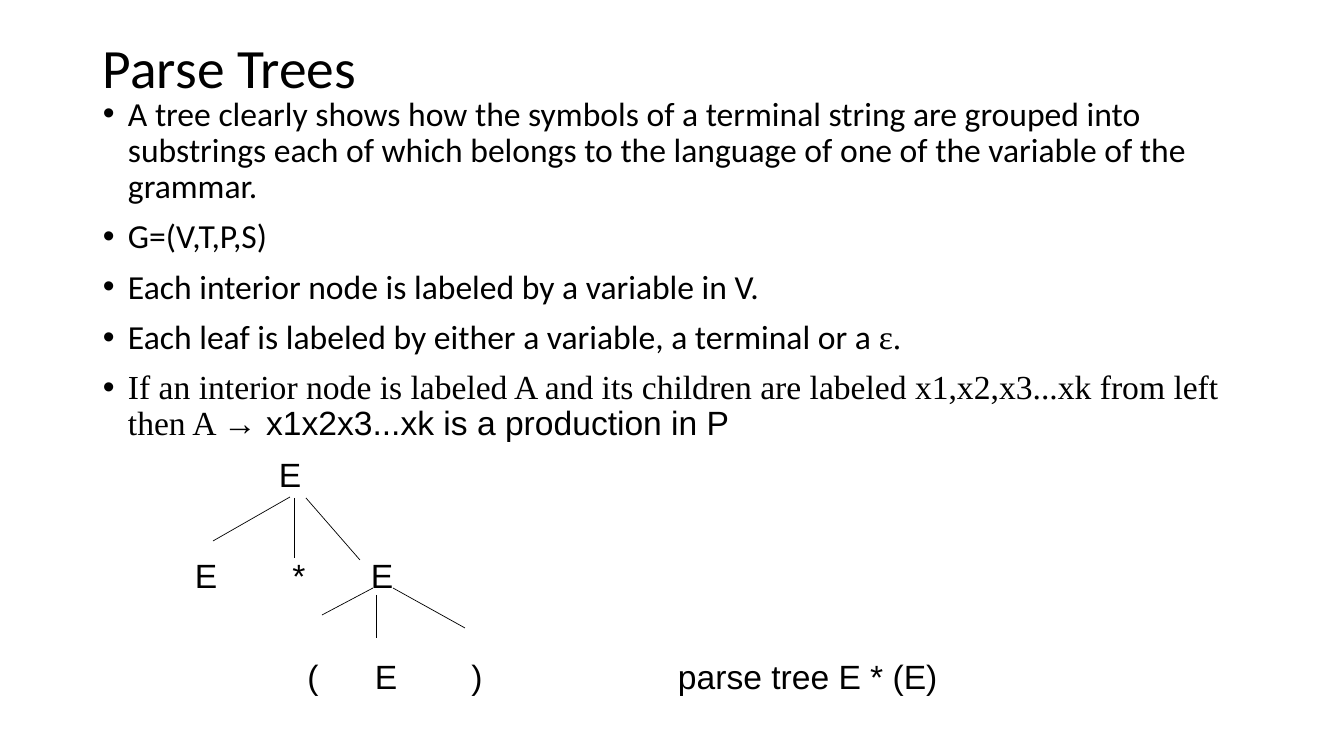
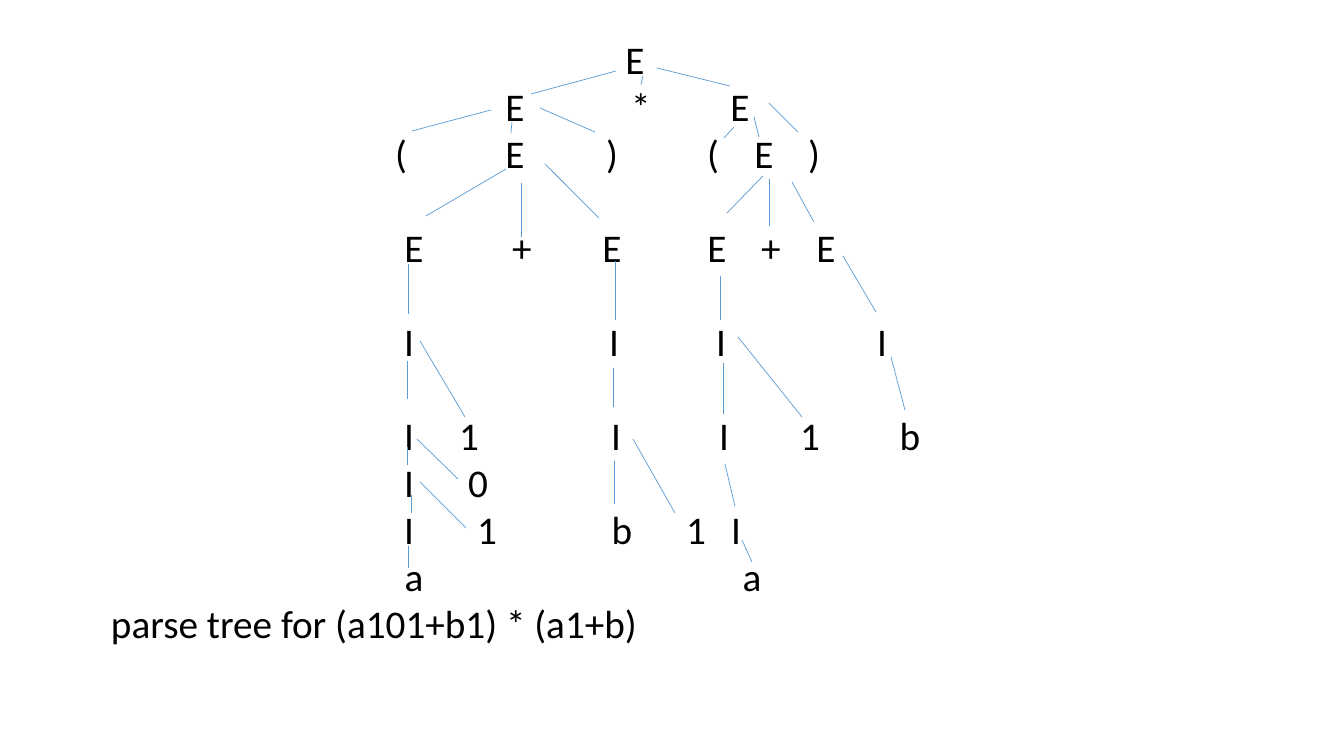
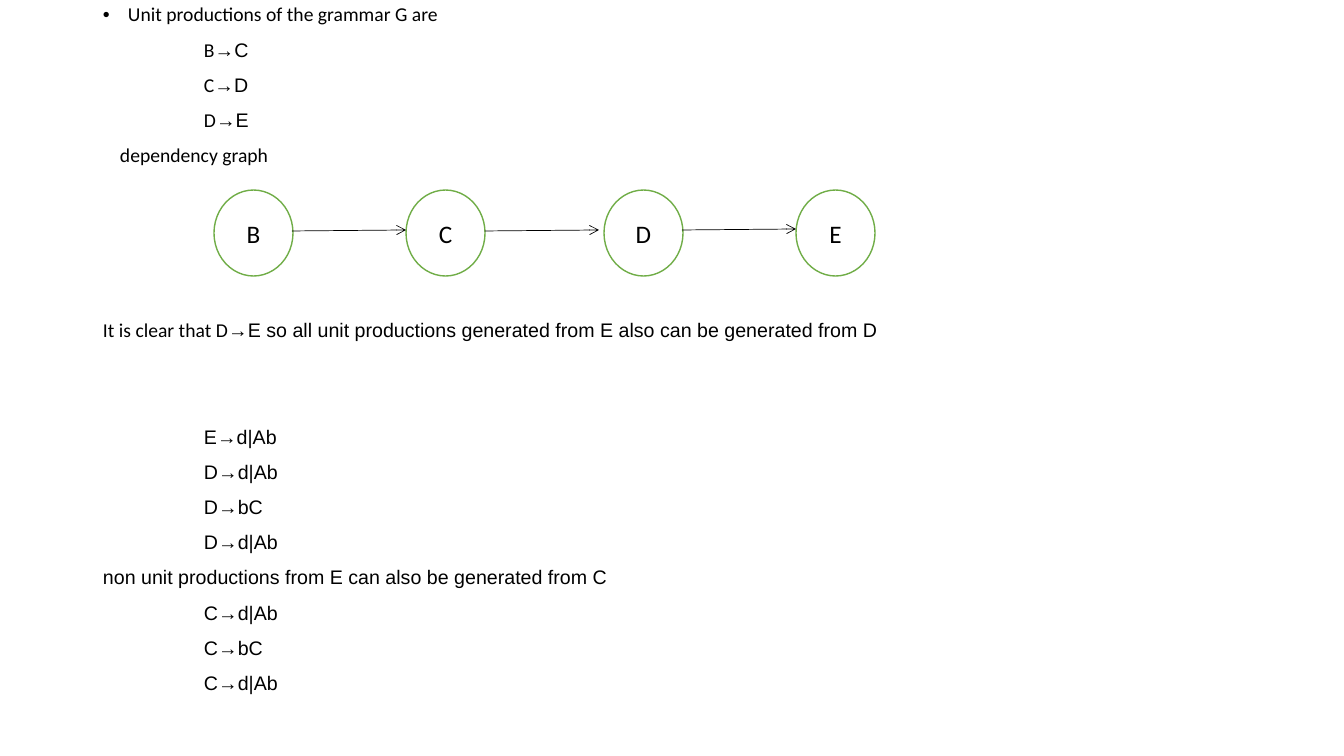
"""Build three slides on parse trees and unit productions."""
from dataclasses import dataclass

from lxml.etree import SubElement
from pptx import Presentation
from pptx.dml.color import RGBColor
from pptx.enum.shapes import MSO_CONNECTOR, MSO_SHAPE
from pptx.enum.text import MSO_ANCHOR, PP_ALIGN
from pptx.oxml.ns import qn
from pptx.shapes.connector import Connector
from pptx.slide import Slide
from pptx.text.text import TextFrame
from pptx.util import Emu, Pt


@dataclass(frozen=True)
class Theme:
    """Colours, fonts and type sizes in points."""
    ink: RGBColor = RGBColor(0, 0, 0)
    paper: RGBColor = RGBColor(255, 255, 255)
    branch: RGBColor = RGBColor(0x5B, 0x9B, 0xD5)
    ring: RGBColor = RGBColor(0x70, 0xAD, 0x47)
    sans: str = "Calibri"
    plain: str = "Arial"
    serif: str = "Times New Roman"
    title_size: float = 39.6
    body_size: float = 24
    tree_size: float = 28
    rule_size: float = 14
    node_size: float = 18
    hairline: float = 0.5
    ring_width: float = 1


@dataclass(frozen=True)
class Span:
    """A stretch of text in one font."""
    text: str
    font: str


@dataclass(frozen=True)
class Line:
    """A paragraph with its indent and the gap above it."""
    spans: tuple[Span, ...]
    indent: int = 0
    gap: int = 14
    bullet: bool = False


@dataclass(frozen=True)
class Label:
    """A tree symbol centred on a point."""
    text: str
    x: int
    y: int


@dataclass(frozen=True)
class Segment:
    """A straight line between two points."""
    x1: int
    y1: int
    x2: int
    y2: int


THEME = Theme()
SLIDE_WIDTH, SLIDE_HEIGHT = 1344, 756
BODY_LEFT, BODY_WIDTH = 93, 1159
INSET_X, INSET_Y = 10, 5
BULLET_INDENT, RULE_INDENT, CAPTION_INDENT = 25, 101, 17
LABEL_WIDTH, LABEL_HEIGHT = 40, 48


def px(length: int) -> Emu:
    """Turn pixels into EMU."""
    return Emu(round(length * 914400 / 100.8))


def add_text_frame(slide: Slide, left: int, top: int, width: int, height: int) -> TextFrame:
    """Add an empty wrapping text box."""
    text_frame = slide.shapes.add_textbox(px(left), px(top), px(width), px(height)).text_frame
    text_frame.word_wrap = True
    text_frame.margin_left = text_frame.margin_right = px(INSET_X)
    text_frame.margin_top = text_frame.margin_bottom = px(INSET_Y)
    return text_frame


def format_text(text_frame: TextFrame, size: float, font: str) -> None:
    """Format every run of a text frame."""
    for paragraph in text_frame.paragraphs:
        for run in paragraph.runs:
            run.font.size = Pt(size)
            run.font.name = font
            run.font.color.rgb = THEME.ink


def add_text(slide: Slide, text: str, left: int, middle: int, width: int, height: int,
             size: float, font: str) -> TextFrame:
    """Add one line of text centred vertically on a height."""
    text_frame = add_text_frame(slide, left, middle - height // 2, width, height)
    text_frame.text = text
    text_frame.vertical_anchor = MSO_ANCHOR.MIDDLE
    format_text(text_frame, size, font)
    return text_frame


def add_body(slide: Slide, top: int, height: int, lines: list[Line], size: float) -> None:
    """Add the body text box with its paragraphs."""
    text_frame = add_text_frame(slide, BODY_LEFT, top, BODY_WIDTH, height)
    for index, line in enumerate(lines):
        paragraph = text_frame.add_paragraph() if index else text_frame.paragraphs[0]
        paragraph.line_spacing = 0.9
        paragraph.space_before = px(line.gap)
        for span in line.spans:
            run = paragraph.add_run()
            run.text = span.text
            run.font.name = span.font
            run.font.size = Pt(size)
            run.font.color.rgb = THEME.ink
        properties = paragraph._p.get_or_add_pPr()
        properties.set("marL", str(px(line.indent)))
        if line.bullet:
            properties.set("indent", str(-px(line.indent)))
            SubElement(properties, qn("a:buFont")).set("typeface", THEME.plain)
            SubElement(properties, qn("a:buChar")).set("char", "•")


def add_labels(slide: Slide, labels: list[Label], size: float, font: str) -> None:
    """Add the symbols of a tree."""
    for label in labels:
        text_frame = add_text(slide, label.text, label.x - LABEL_WIDTH // 2, label.y,
                              LABEL_WIDTH, LABEL_HEIGHT, size, font)
        text_frame.margin_left = text_frame.margin_right = 0
        text_frame.paragraphs[0].alignment = PP_ALIGN.CENTER


def add_segment(slide: Slide, segment: Segment, color: RGBColor) -> Connector:
    """Add a thin straight line."""
    connector = slide.shapes.add_connector(
        MSO_CONNECTOR.STRAIGHT, px(segment.x1), px(segment.y1), px(segment.x2), px(segment.y2))
    connector.line.color.rgb = color
    connector.line.width = Pt(THEME.hairline)
    SubElement(connector._element.spPr, qn("a:effectLst"))
    return connector


def add_arrow(slide: Slide, segment: Segment) -> None:
    """Add a line with an open arrowhead at its end."""
    connector = add_segment(slide, segment, THEME.ink)
    SubElement(connector.line._get_or_add_ln(), qn("a:tailEnd")).set("type", "arrow")


def add_node(slide: Slide, text: str, left: int) -> None:
    """Add a ringed node of the dependency graph."""
    shape = slide.shapes.add_shape(MSO_SHAPE.OVAL, px(left), px(190), px(79), px(86))
    shape.shadow.inherit = False
    shape.fill.solid()
    shape.fill.fore_color.rgb = THEME.paper
    shape.line.color.rgb = THEME.ring
    shape.line.width = Pt(THEME.ring_width)
    shape.text_frame.text = text
    shape.text_frame.vertical_anchor = MSO_ANCHOR.MIDDLE
    shape.text_frame.paragraphs[0].alignment = PP_ALIGN.CENTER
    format_text(shape.text_frame, THEME.node_size, THEME.sans)


def bullet(*spans: Span) -> Line:
    """Describe a bulleted paragraph."""
    return Line(spans, BULLET_INDENT, bullet=True)


def rule(left: str, right: str, font: str = THEME.plain, gap: int = 14) -> Line:
    """Describe an indented production."""
    return Line((Span(left, font), Span(f"→{right}", THEME.plain)), RULE_INDENT, gap)


def build_definition(slide: Slide) -> None:
    """Build the definition of parse trees."""
    add_text(slide, "Parse Trees", BODY_LEFT, 66, BODY_WIDTH, 51, THEME.title_size, THEME.sans)
    add_body(slide, 92, 360, [
        bullet(Span("A tree clearly shows how the symbols of a terminal string are grouped into "
                    "substrings each of which belongs to the language of one of the variable "
                    "of the grammar.", THEME.sans)),
        bullet(Span("G=(V,T,P,S)", THEME.sans)),
        bullet(Span("Each interior node is labeled by a variable in V.", THEME.sans)),
        bullet(Span("Each leaf is labeled by either a variable, a terminal or a ", THEME.sans),
               Span("ε.", THEME.serif)),
        bullet(Span("If an interior node is labeled A and its children are labeled "
                    "x1,x2,x3...xk from left then A ", THEME.serif),
               Span("→ x1x2x3...xk is a production in P", THEME.plain)),
    ], THEME.body_size)
    add_labels(slide, [
        Label("E", 290, 474),
        Label("E", 206, 575), Label("*", 299, 575), Label("E", 382, 575),
        Label("(", 313, 676), Label("E", 386, 676), Label(")", 477, 676),
    ], THEME.body_size, THEME.plain)
    add_text(slide, "parse tree E * (E)", 668, 676, 300, LABEL_HEIGHT,
             THEME.body_size, THEME.plain)
    for segment in (
        Segment(290, 497, 213, 541), Segment(306, 498, 360, 560), Segment(294, 498, 294, 558),
        Segment(373, 588, 322, 615), Segment(376, 595, 376, 638), Segment(393, 588, 465, 628),
    ):
        add_segment(slide, segment, THEME.ink)


def build_large_tree(slide: Slide) -> None:
    """Build the full parse tree."""
    first_row, row_pitch, caption_row = 59, 47, 12
    symbols = {
        0: (("E", 635),),
        1: (("E", 515), ("*", 641), ("E", 740)),
        2: (("(", 401), ("E", 515), (")", 612), ("(", 713), ("E", 764), (")", 814)),
        4: (("E", 414), ("+", 522), ("E", 612), ("E", 717), ("+", 771), ("E", 826)),
        6: (("I", 409), ("I", 614), ("I", 721), ("I", 882)),
        8: (("I", 409), ("1", 469), ("I", 616), ("I", 724), ("1", 810), ("b", 910)),
        9: (("I", 409), ("0", 478)),
        10: (("I", 409), ("1", 487), ("b", 622), ("1", 696), ("I", 736)),
        11: (("a", 414), ("a", 752)),
    }
    add_labels(slide, [Label(text, x, first_row + row * row_pitch)
                       for row, items in symbols.items() for text, x in items],
               THEME.tree_size, THEME.sans)
    add_text(slide, "parse tree for (a101+b1) * (a1+b)", 101, first_row + caption_row * row_pitch,
             700, LABEL_HEIGHT, THEME.tree_size, THEME.sans)
    for segment in (
        Segment(616, 71, 531, 94), Segment(643, 76, 641, 85), Segment(657, 68, 730, 86),
        Segment(491, 110, 412, 131), Segment(512, 122, 511, 133), Segment(540, 108, 595, 132),
        Segment(734, 127, 724, 138), Segment(754, 117, 759, 137), Segment(769, 103, 798, 132),
        Segment(506, 169, 426, 216), Segment(521, 183, 521, 237), Segment(545, 164, 599, 218),
        Segment(763, 176, 727, 213), Segment(769, 179, 769, 226), Segment(792, 182, 814, 222),
        Segment(408, 264, 408, 314), Segment(407, 361, 407, 399), Segment(407, 447, 407, 465),
        Segment(411, 495, 411, 513), Segment(408, 546, 408, 568), Segment(420, 341, 465, 417),
        Segment(417, 439, 458, 479), Segment(420, 482, 466, 528), Segment(615, 261, 615, 320),
        Segment(613, 368, 613, 407), Segment(614, 461, 614, 504), Segment(633, 439, 675, 513),
        Segment(720, 276, 720, 320), Segment(723, 363, 723, 414), Segment(725, 464, 735, 506),
        Segment(742, 540, 752, 562), Segment(738, 337, 802, 417), Segment(843, 256, 876, 312),
        Segment(891, 357, 905, 410),
    ):
        add_segment(slide, segment, THEME.branch)


def build_unit_productions(slide: Slide) -> None:
    """Build the unit productions and their dependency graph."""
    add_body(slide, 0, 741, [
        bullet(Span("Unit productions of the grammar G are", THEME.sans)),
        rule("B", "C", THEME.sans),
        rule("C", "D", THEME.sans),
        rule("D", "E", THEME.sans),
        Line((Span("dependency graph", THEME.sans),), CAPTION_INDENT),
        Line((Span("It is clear that D", THEME.sans),
              Span("→E so all unit productions generated from E also can be generated from D",
                   THEME.plain)), gap=154),
        rule("E", "d|Ab", gap=85),
        rule("D", "d|Ab"),
        rule("D", "bC"),
        rule("D", "d|Ab"),
        Line((Span("non unit productions from E can also be generated from C", THEME.plain),)),
        rule("C", "d|Ab"),
        rule("C", "bC"),
        rule("C", "d|Ab"),
    ], THEME.rule_size)
    for text, left in (("B", 214), ("C", 406), ("D", 604), ("E", 796)):
        add_node(slide, text, left)
    for segment in (Segment(292, 231, 406, 230), Segment(485, 231, 599, 230),
                    Segment(682, 230, 796, 229)):
        add_arrow(slide, segment)


def main() -> None:
    """Build and save the presentation."""
    presentation = Presentation()
    presentation.slide_width = px(SLIDE_WIDTH)
    presentation.slide_height = px(SLIDE_HEIGHT)
    blank_layout = presentation.slide_layouts[6]
    for build in (build_definition, build_large_tree, build_unit_productions):
        build(presentation.slides.add_slide(blank_layout))
    presentation.save("out.pptx")


main()
